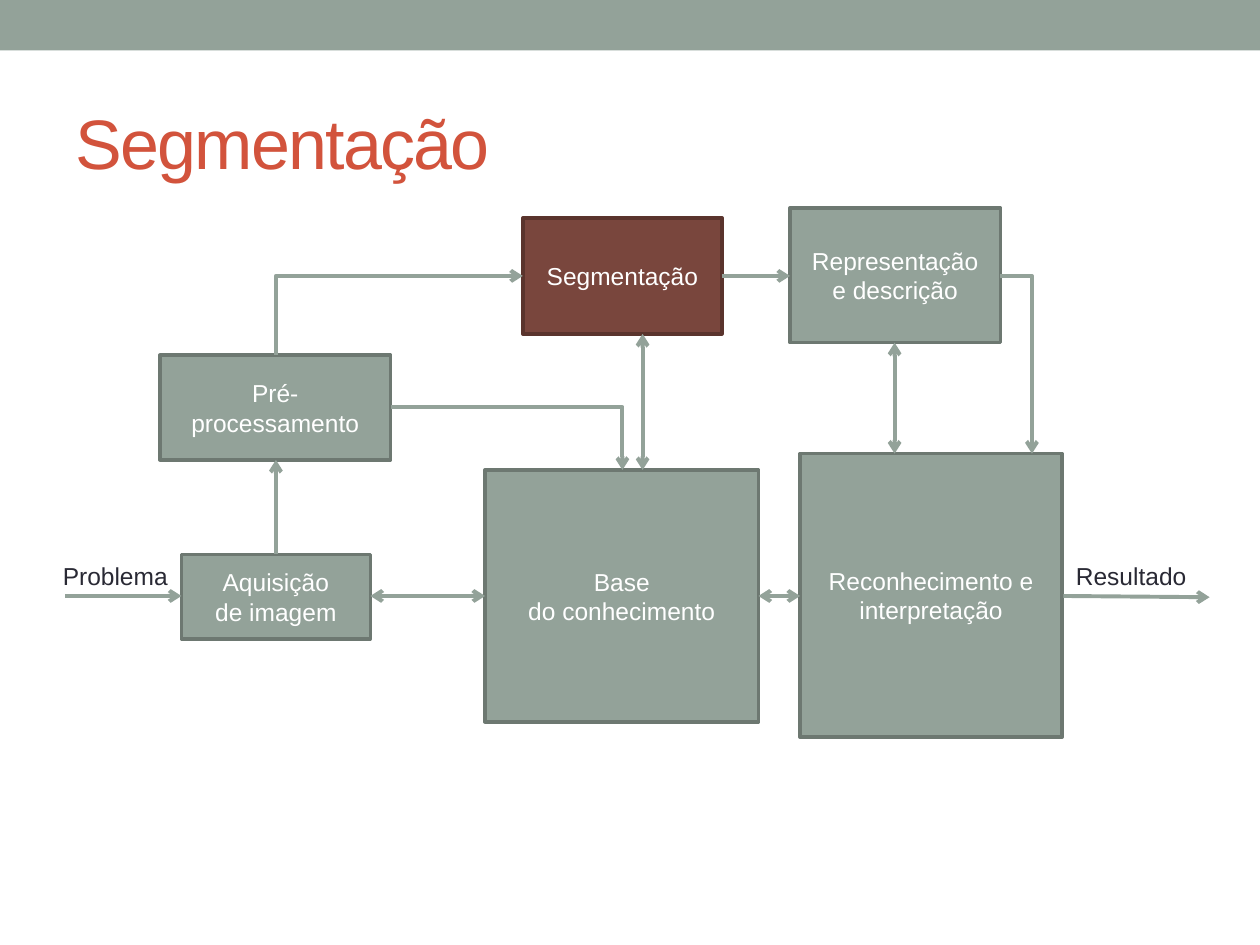
from dataclasses import dataclass

from lxml.etree import SubElement
from pptx import Presentation
from pptx.dml.color import RGBColor
from pptx.enum.shapes import MSO_CONNECTOR, MSO_SHAPE
from pptx.enum.text import MSO_ANCHOR, PP_ALIGN
from pptx.oxml.ns import qn
from pptx.util import Pt

PX = 9144  # EMU per px, 100 px to the inch


@dataclass(frozen=True)
class Theme:
    font: str = "Arial"
    sage: str = "93A299"
    sage_edge: str = "6D7871"
    brown: str = "79463D"
    brown_edge: str = "5A342D"
    title: str = "D2533C"
    ink: str = "292934"
    white: str = "FFFFFF"
    title_size: int = 40
    body_size: int = 14
    edge_width: float = 2.08
    arrow_width: float = 2.25


theme = Theme()


def write(frame, lines, size, color, align):
    for index, line in enumerate(lines):
        paragraph = frame.paragraphs[0] if index == 0 else frame.add_paragraph()
        paragraph.alignment = align
        run = paragraph.add_run()
        run.text = line
        run.font.name = theme.font
        run.font.size = Pt(size)
        run.font.color.rgb = RGBColor.from_string(color)


def add_box(left, top, width, height, fill):
    box = slide.shapes.add_shape(
        MSO_SHAPE.RECTANGLE, left * PX, top * PX, width * PX, height * PX)
    box.shadow.inherit = False
    box.fill.solid()
    box.fill.fore_color.rgb = RGBColor.from_string(fill)
    return box


deck = Presentation()
deck.slide_width, deck.slide_height = 1000 * PX, 750 * PX
slide = deck.slides.add_slide(deck.slide_layouts[6])

# Top band
band = add_box(0, 0, 1000, 40, theme.sage)
band.line.fill.background()

# Title
heading = slide.shapes.add_textbox(50 * PX, 58 * PX, 900 * PX, 108 * PX).text_frame
heading.word_wrap = True
heading.vertical_anchor = MSO_ANCHOR.MIDDLE
write(heading, ["Segmentação"], theme.title_size, theme.title, PP_ALIGN.LEFT)
heading.paragraphs[0].runs[0].font._element.set("spc", "-100")

# Input and output labels
for text, left, width in [("Problema", 40, 104), ("Resultado", 844, 109)]:
    label = slide.shapes.add_textbox(left * PX, 440 * PX, width * PX, 34 * PX).text_frame
    label.word_wrap = False
    write(label, [text], theme.body_size, theme.ink, PP_ALIGN.LEFT)

# Processing stages
sage = (theme.sage, theme.sage_edge)
brown = (theme.brown, theme.brown_edge)
stages = [
    (["Aquisição", "de imagem"], 144, 440, 150, 67, sage),
    (["Pré-processamento"], 127, 282, 183, 83, sage),
    (["Segmentação"], 415, 173, 158, 92, brown),
    (["Representação", "e descrição"], 627, 165, 167, 107, sage),
    (["Base", "do conhecimento"], 385, 373, 217, 200, sage),
    (["Reconhecimento e interpretação"], 635, 360, 208, 225, sage),
]
for lines, left, top, width, height, (fill, edge) in stages:
    stage = add_box(left, top, width, height, fill)
    stage.line.color.rgb = RGBColor.from_string(edge)
    stage.line.width = Pt(theme.edge_width)
    stage.text_frame.word_wrap = True
    stage.text_frame.vertical_anchor = MSO_ANCHOR.MIDDLE
    write(stage.text_frame, lines, theme.body_size, theme.white, PP_ALIGN.CENTER)

# Flow between stages; an elbow runs sideways first, then vertically
straight, elbow = MSO_CONNECTOR.STRAIGHT, MSO_CONNECTOR.ELBOW
at_start, at_end, both = ["headEnd"], ["tailEnd"], ["headEnd", "tailEnd"]
flows = [
    (straight, 52, 473, 144, 473, at_end),    # problem to acquisition
    (straight, 294, 473, 385, 473, both),     # acquisition and knowledge
    (straight, 219, 440, 219, 365, at_end),   # acquisition to preprocessing
    (elbow, 415, 219, 219, 282, at_start),    # preprocessing to segmentation
    (straight, 573, 219, 627, 219, at_end),   # segmentation to representation
    (elbow, 310, 323, 494, 373, at_end),      # preprocessing to knowledge
    (straight, 602, 473, 635, 473, both),     # knowledge and recognition
    (straight, 710, 272, 710, 360, both),     # representation and recognition
    (elbow, 794, 219, 819, 360, at_end),      # representation to recognition
    (straight, 844, 473, 960, 474, at_end),   # recognition to result
    (straight, 510, 265, 510, 373, both),     # segmentation and knowledge
]
for kind, x1, y1, x2, y2, heads in flows:
    flow = slide.shapes.add_connector(kind, x1 * PX, y1 * PX, x2 * PX, y2 * PX)
    flow.line.color.rgb = RGBColor.from_string(theme.sage)
    flow.line.width = Pt(theme.arrow_width)
    properties = flow._element.spPr
    if kind == elbow:
        properties.find(qn("a:prstGeom")).set("prst", "bentConnector2")
    for head in heads:
        SubElement(properties.find(qn("a:ln")), qn(f"a:{head}"), type="arrow")
    SubElement(properties, qn("a:effectLst"))

deck.save("out.pptx")
